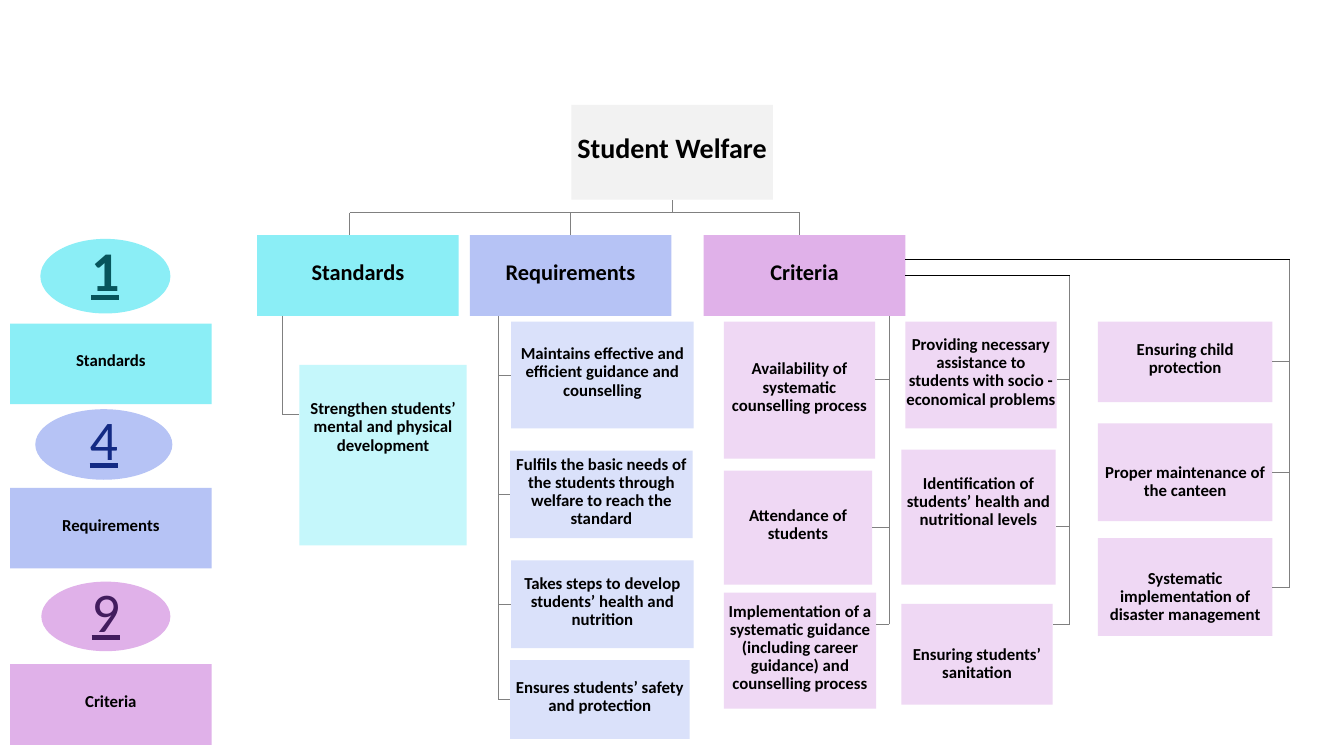
from dataclasses import dataclass

from lxml.etree import SubElement
from pptx import Presentation
from pptx.dml.color import RGBColor as Rgb
from pptx.enum.shapes import MSO_CONNECTOR, MSO_SHAPE as Preset
from pptx.enum.text import MSO_ANCHOR, MSO_AUTO_SIZE, PP_ALIGN
from pptx.oxml.ns import qn
from pptx.util import Inches, Pt


@dataclass(frozen=True)
class Theme:
    font: str = "Calibri"
    ink: str = "000000"
    rule: str = "808080"
    root: str = "F2F2F2"
    standards: str = "8BEEF6"
    standards_pale: str = "C5F7FB"
    standards_dark: str = "07555C"
    requirements: str = "B6C3F5"
    requirements_pale: str = "DAE1FA"
    requirements_dark: str = "132A84"
    criteria: str = "E0B1E9"
    criteria_pale: str = "EFD8F4"
    criteria_dark: str = "421C5E"
    title_size: int = 20
    heading_size: int = 16
    body_size: int = 12
    count_size: int = 40


theme = Theme()
deck = Presentation()
deck.slide_width, deck.slide_height = Inches(13.33), Inches(7.5)
cell = deck.slide_height / 45
slide = deck.slides.add_slide(deck.slide_layouts[5])
shapes = slide.shapes


def block(text, place, *, fill, size=theme.body_size, color=theme.ink, bold=True,
          underline=False, preset=Preset.RECTANGLE, holder=None, lower=0, raised=0):
    left, top, width, height = (round(cell * value) for value in place)
    if holder is None:
        holder = shapes.add_shape(preset, left, top, width, height)
    holder.left, holder.top, holder.width, holder.height = left, top, width, height
    holder.shadow.inherit = False
    holder.fill.solid()
    holder.fill.fore_color.rgb = Rgb.from_string(fill)
    holder.line.fill.background()
    frame = holder.text_frame
    frame.word_wrap = True
    frame.auto_size = MSO_AUTO_SIZE.NONE
    frame.vertical_anchor = MSO_ANCHOR.MIDDLE
    frame.margin_left = frame.margin_right = round(cell * 0.06)
    frame.margin_top = round(cell * (0.06 + lower))
    frame.margin_bottom = round(cell * (0.36 + raised))
    paragraph = frame.paragraphs[0]
    paragraph.alignment = PP_ALIGN.CENTER
    paragraph.line_spacing = 0.9
    run = paragraph.add_run()
    run.text = text
    font = run.font
    font.name, font.size, font.bold, font.underline = theme.font, Pt(size), bold, underline
    font.color.rgb = Rgb.from_string(color)
    return holder


def rule(*ends, color=theme.rule):
    link = shapes.add_connector(MSO_CONNECTOR.STRAIGHT, *(round(cell * value) for value in ends))
    link.line.color.rgb = Rgb.from_string(color)
    link.line.width = Pt(0.5)
    SubElement(link.element.spPr, qn("a:effectLst"))
    return link


bus = 12.66
heading_top, block_width, block_height = 14, 12, 4.8
heading_bottom = heading_top + block_height

root = block("Student Welfare", (34, 6.24, block_width, 5.64), fill=theme.root,
             size=theme.title_size, holder=shapes.title)
rule(40, bus, 40, 11.88).end_connect(root, 2)
rule(20.82, bus, 47.58, bus)

# Each heading: name, left, fill, drop from the bus, whether the drop meets the middle
headings = [
    ("Standards", 15.3, theme.standards, 20.82, False),
    ("Requirements", 27.96, theme.requirements, 33.96, True),
    ("Criteria", 41.88, theme.criteria, 47.58, False),
]
for name, left, fill, drop, centred in headings:
    heading = block(name, (left, heading_top, block_width, block_height),
                    fill=fill, size=theme.heading_size)
    drop_line = rule(drop, bus, drop, heading_top)
    if centred:
        drop_line.end_connect(heading, 0)

totals = [
    ("1", "Standards", (2.4, 14.22, 7.74, 4.44), 19.26, theme.standards, theme.standards_dark),
    ("4", "Requirements", (2.1, 24.36, 8.16, 4.2), 29.04, theme.requirements, theme.requirements_dark),
    ("9", "Criteria", (2.46, 34.62, 7.68, 4.14), 39.54, theme.criteria, theme.criteria_dark),
]
for count, name, oval, top, fill, dark in totals:
    block(count, oval, fill=fill, size=theme.count_size, color=dark, bold=count == "1",
          underline=True, preset=Preset.OVAL)
    block(name, (0.6, top, block_width, block_height), fill=fill)

# Each branch: trunk x, trunk top, joined side, fill, then items with an off-centre joint or None
branches = [
    (16.8, heading_bottom, 1, theme.standards_pale, [
        ("Strengthen students’ mental and physical development",
         (17.82, 21.72, 9.96, 10.74), 24.66, {"raised": 3}),
    ]),
    (29.64, heading_bottom, 1, theme.requirements_pale, [
        ("Maintains effective and efficient guidance and counselling",
         (30.42, 19.14, 10.86, 6.36), None, {}),
        ("Fulfils the basic needs of the students through welfare to reach the standard",
         (30.36, 26.82, 10.86, 5.22), None, {}),
        ("Takes steps to develop students’ health and nutrition",
         (30.42, 33.36, 10.86, 5.22), None, {}),
        ("Ensures students’ safety and protection",
         (30.36, 39.3, 10.68, 4.68), None, {}),
    ]),
    (52.92, heading_bottom, 3, theme.criteria_pale, [
        ("Availability of systematic counselling process",
         (43.08, 19.14, 9, 8.16), 22.56, {}),
        ("Attendance of students", (43.08, 28.02, 8.82, 6.78), None, {}),
        ("Implementation of a systematic guidance (including career guidance) and counselling process",
         (43.08, 35.28, 9.06, 6.9), 37.14, {}),
    ]),
    (63.66, 16.38, 3, theme.criteria_pale, [
        ("Providing necessary assistance to students with socio - economical problems",
         (53.88, 19.14, 9, 6.36), 22.56, {}),
        ("Identification of students’ health and nutritional levels",
         (53.64, 26.76, 9.18, 8.04), 31.32, {"raised": 1.5}),
        ("Ensuring students’ sanitation", (53.64, 35.94, 9, 6), 37.14, {"lower": 1.5}),
    ]),
    (76.74, 15.42, 3, theme.criteria_pale, [
        ("Ensuring child protection", (65.34, 19.14, 10.38, 4.8), None, {}),
        ("Proper maintenance of the canteen",
         (65.34, 25.2, 10.38, 5.82), None, {"lower": 1.5}),
        ("Systematic implementation of disaster management",
         (65.34, 32.04, 10.38, 5.82), None, {"lower": 1.5}),
    ]),
]
for trunk, trunk_top, side, fill, items in branches:
    for text, place, joint, shift in items:
        item = block(text, place, fill=fill, **shift)
        left, top, width, height = place
        joint_y = top + height / 2 if joint is None else joint
        edge = left if side == 1 else left + width
        stub = rule(trunk, joint_y, edge, joint_y)
        if joint is None:
            stub.end_connect(item, side)
    rule(trunk, trunk_top, trunk, joint_y)
    if trunk_top < heading_bottom:
        rule(53.88, trunk_top, trunk, trunk_top, color=theme.ink)

deck.save("out.pptx")
